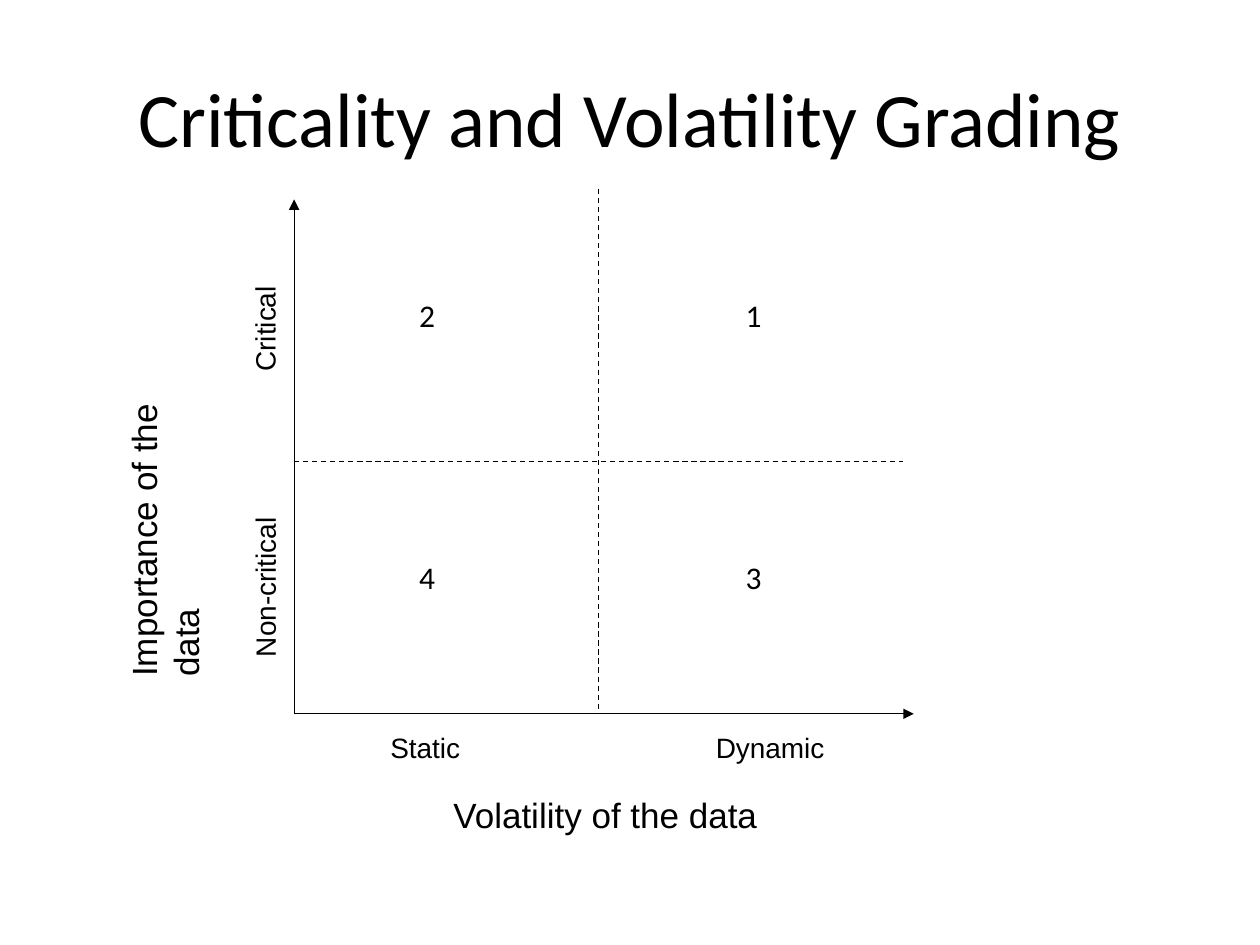
from dataclasses import dataclass
from itertools import product

from lxml import etree
from pptx import Presentation
from pptx import util as u
from pptx.dml.color import RGBColor
from pptx.enum import dml, shapes, text
from pptx.oxml import ns


@dataclass(frozen=True)
class Theme:
    ink: RGBColor = RGBColor(0, 0, 0)
    heading_font: str = "Calibri"
    label_font: str = "Arial"
    title_size: int = 44
    axis_size: int = 20
    grade_size: int = 18
    band_size: int = 16
    line_width: float = 0.75


class GradingSlide:
    def __init__(self, deck, theme):
        self.theme = theme
        self.slide = deck.slides.add_slide(deck.slide_layouts[5])

    def format_runs(self, frame, font, size):
        for run in frame.paragraphs[0].runs:
            run.font.name = font
            run.font.size = u.Pt(size)
            run.font.color.rgb = self.theme.ink

    def title(self, words, left, top, width, height):
        heading = self.slide.shapes.title
        heading.left, heading.top = u.Cm(left), u.Cm(top)
        heading.width, heading.height = u.Cm(width), u.Cm(height)
        frame = heading.text_frame
        frame.text = words
        frame.vertical_anchor = text.MSO_ANCHOR.MIDDLE
        frame.paragraphs[0].alignment = text.PP_ALIGN.CENTER
        self.format_runs(frame, self.theme.heading_font, self.theme.title_size)

    def label(self, words, left, top, width, height, size, font=None, rotation=0, wrap=False):
        box = self.slide.shapes.add_textbox(u.Cm(left), u.Cm(top), u.Cm(width), u.Cm(height))
        box.rotation = rotation
        frame = box.text_frame
        frame.word_wrap = wrap
        frame.text = words
        self.format_runs(frame, font or self.theme.label_font, size)

    def line(self, start, end):
        connector = self.slide.shapes.add_connector(
            shapes.MSO_CONNECTOR.STRAIGHT, *(u.Cm(value) for value in (*start, *end)))
        connector.line.color.rgb = self.theme.ink
        connector.line.width = u.Pt(self.theme.line_width)
        etree.SubElement(connector._element.spPr, ns.qn("a:effectLst"))
        return connector

    def axis(self, start, end):
        outline = self.line(start, end).line._get_or_add_ln()
        etree.SubElement(outline, ns.qn("a:tailEnd"), type="triangle")

    def divider(self, start, end):
        self.line(start, end).line.dash_style = dml.MSO_LINE.DASH


def main():
    deck = Presentation()
    deck.slide_width, deck.slide_height = u.Cm(25.4), u.Cm(19.05)
    theme = Theme()
    matrix = GradingSlide(deck, theme)
    matrix.title("Criticality and Volatility Grading", 1.27, 0.76, 22.86, 3.18)

    origin_x, origin_y = 5.93, 14.39
    middle_x, middle_y = 12.07, 9.31
    matrix.axis((origin_x, origin_y), (origin_x, 4.02))
    matrix.axis((origin_x, origin_y), (18.42, origin_y))
    matrix.divider((origin_x, middle_y), (18.2, middle_y))
    matrix.divider((middle_x, 3.81), (middle_x, origin_y))

    matrix.label("Importance of the data", -0.13, 9.5, 6.86, 1.93,
                 theme.axis_size, rotation=270, wrap=True)
    matrix.label("Volatility of the data", 8.89, 15.88, 6.65, 1.1, theme.axis_size)

    for volatility, left, width in (("Static", 7.62, 1.93), ("Dynamic", 14.18, 2.7)):
        matrix.label(volatility, left, 14.61, width, 0.94, theme.band_size)
    for importance, left, top, width in (("Critical", 4.22, 6.15, 2.24),
                                         ("Non-critical", 3.68, 11.36, 3.33)):
        matrix.label(importance, left, top, width, 0.94, theme.band_size, rotation=270)

    for grade, (top, left) in zip("2143", product((5.84, 11.13), (8.2, 14.78))):
        matrix.label(grade, left, top, 0.94, 1.27, theme.grade_size, theme.heading_font)

    deck.save("out.pptx")


if __name__ == "__main__":
    main()
